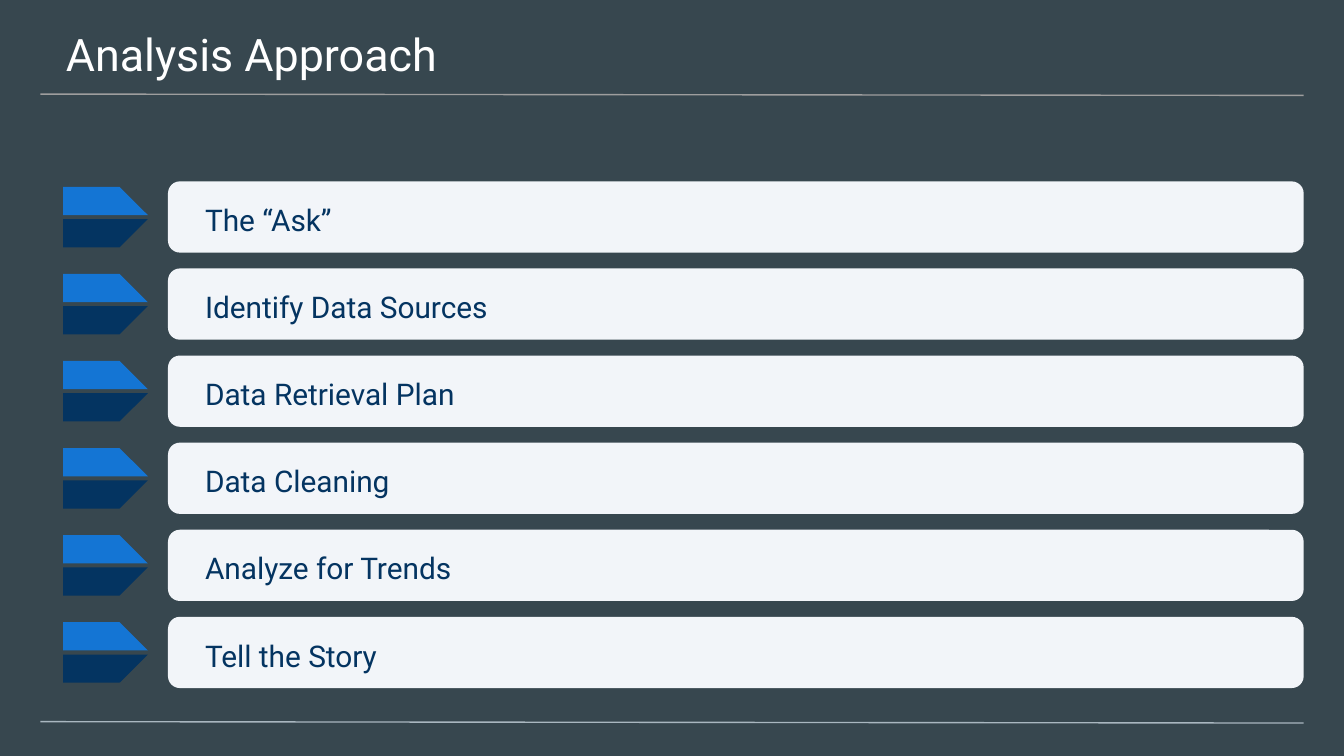
from lxml import etree
from pptx import Presentation
from pptx.dml.color import RGBColor
from pptx.enum import shapes, text
from pptx.oxml.ns import qn
from pptx.util import Inches, Pt


def color(value):
    return RGBColor.from_string(value)


def write(shape, content, size, font_color, insets, anchor):
    frame = shape.text_frame
    frame.text = content
    frame.word_wrap = True
    frame.vertical_anchor = anchor
    left, top, right, bottom = insets
    frame.margin_left, frame.margin_top = Inches(left), Inches(top)
    frame.margin_right, frame.margin_bottom = Inches(right), Inches(bottom)
    paragraph = frame.paragraphs[0]
    paragraph.alignment = text.PP_ALIGN.LEFT
    font = paragraph.runs[0].font
    font.name, font.size = "Roboto", Pt(size)
    font.color.rgb = color(font_color)
    return paragraph


presentation = Presentation()
presentation.slide_width = Inches(10)
presentation.slide_height = Inches(10) * 9 // 16
slide = presentation.slides.add_slide(presentation.slide_layouts[6])
slide.background.fill.solid()
slide.background.fill.fore_color.rgb = color("37474F")

for y, line_color in [(0.7, "9E9E9E"), (5.37, "A9B7C0")]:
    rule = slide.shapes.add_connector(
        shapes.MSO_CONNECTOR.STRAIGHT,
        Inches(0.3), Inches(y), Inches(9.7), Inches(y + 0.01))
    rule.line.color.rgb = color(line_color)
    rule.line.width = Pt(0.75)
    etree.SubElement(rule._element.spPr, qn("a:effectLst"))

title = slide.shapes.add_textbox(Inches(-0.01), 0, Inches(10.03), Inches(0.58))
write(title, "Analysis Approach", 24, "FFFFFF",
      (0.5, 0.2, 0.3, 0.1), text.MSO_ANCHOR.TOP)

steps = ["The “Ask”", "Identify Data Sources", "Data Retrieval Plan",
         "Data Cleaning", "Analyze for Trends", "Tell the Story"]
first_top, last_top = 1.35, 4.59
pitch = (last_top - first_top) / (len(steps) - 1)

for index, step in enumerate(steps):
    top = first_top + index * pitch
    bar = slide.shapes.add_shape(
        shapes.MSO_SHAPE.ROUNDED_RECTANGLE,
        Inches(1.25), Inches(top), Inches(8.45), Inches(0.53))
    bar.adjustments[0] = 0.167
    bar.shadow.inherit = False
    bar.fill.solid()
    bar.fill.fore_color.rgb = color("F2F5F9")
    bar.line.fill.background()
    paragraph = write(bar, step, 16, "043461",
                      (0.25, 0.1, 0.1, 0.1), text.MSO_ANCHOR.MIDDLE)
    paragraph.line_spacing = 1.15

    arrow = slide.shapes.add_group_shape()
    for outer, inner, fill_color in [(0.04, 0.25, "1475D4"), (0.49, 0.28, "043461")]:
        outer_y, inner_y = Inches(top + outer), Inches(top + inner)
        builder = arrow.shapes.build_freeform(Inches(0.47), outer_y)
        builder.add_line_segments([
            (Inches(0.47), inner_y), (Inches(1.1), inner_y), (Inches(0.89), outer_y)])
        half = builder.convert_to_shape()
        half.shadow.inherit = False
        half.fill.solid()
        half.fill.fore_color.rgb = color(fill_color)
        half.line.fill.background()

presentation.save("out.pptx")
